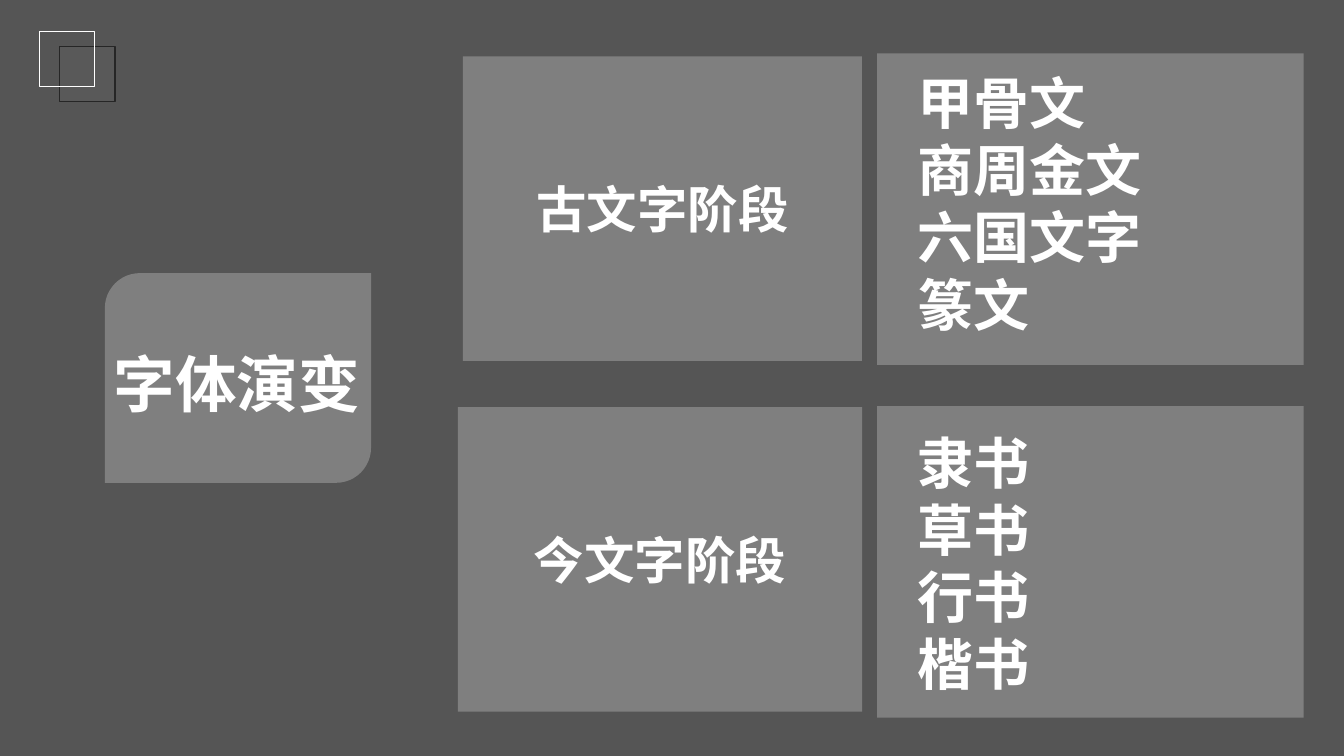
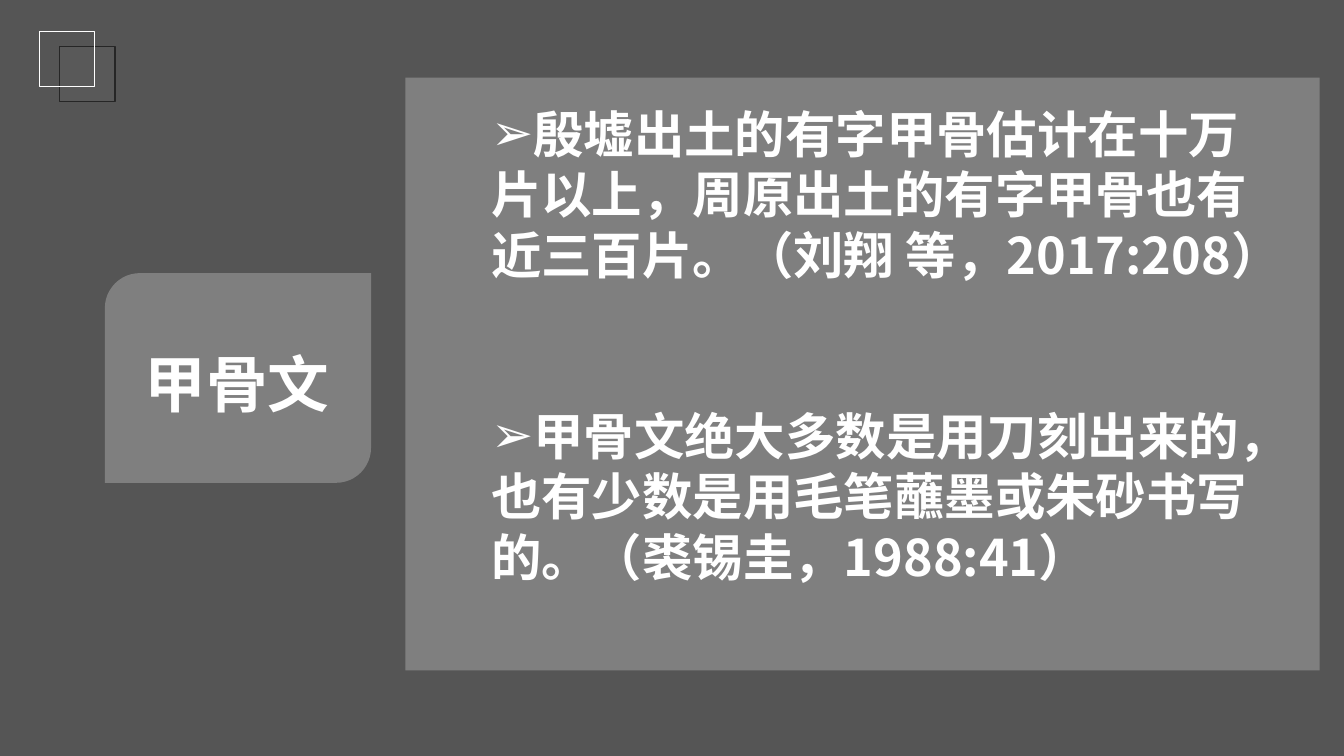
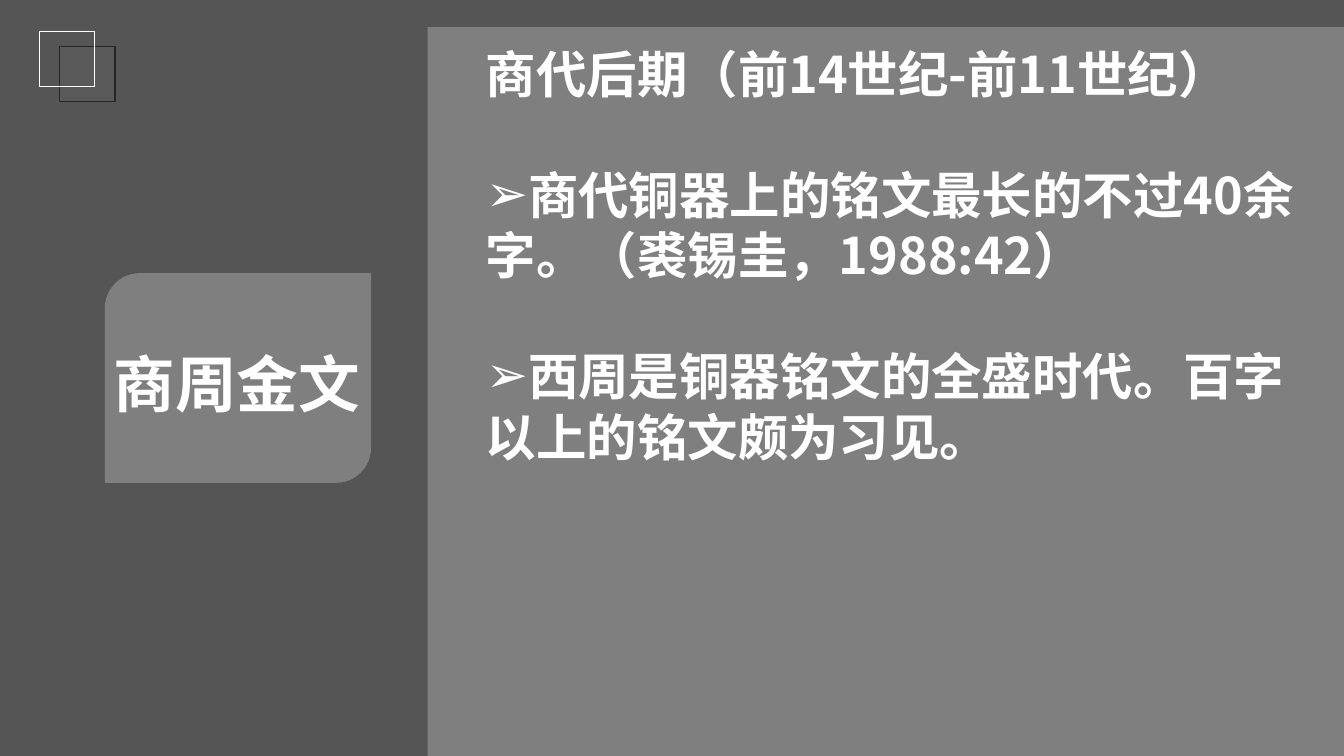
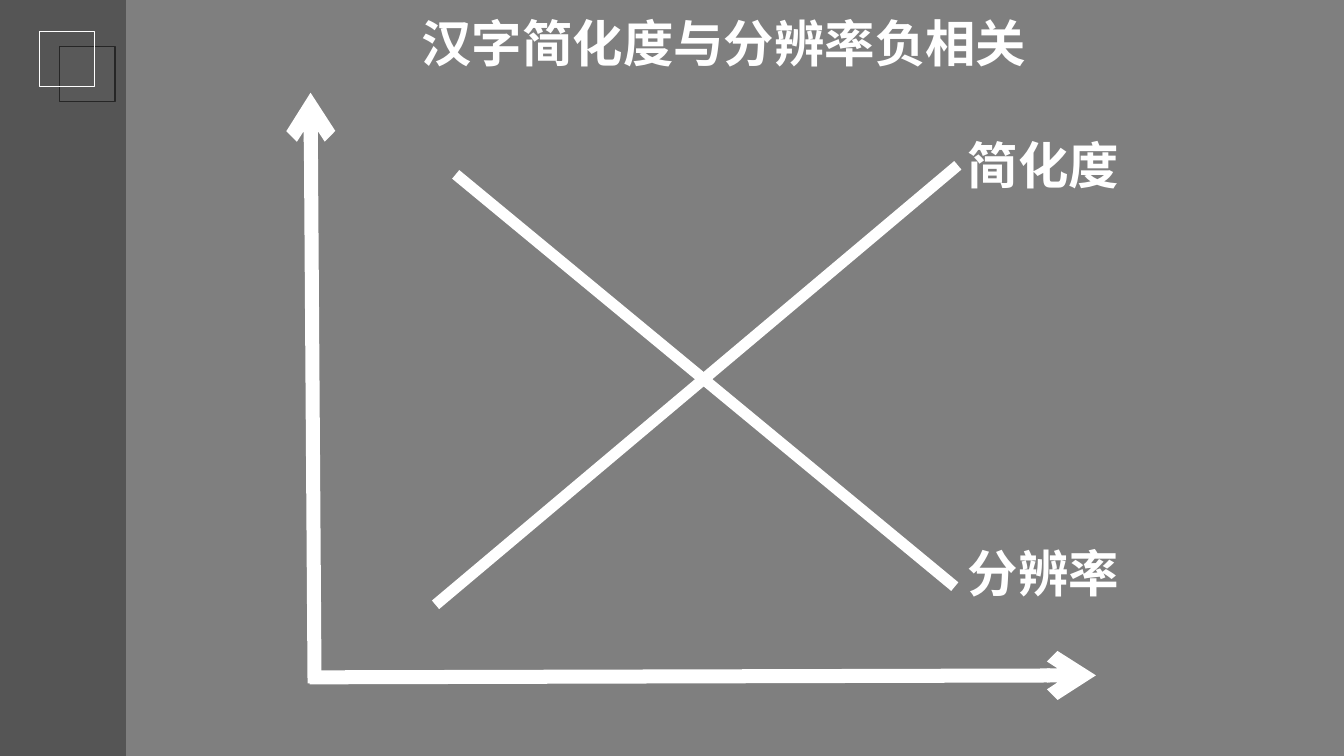
import lxml.etree
import pptx
import pptx.dml.color
import pptx.enum.shapes
import pptx.enum.text
import pptx.oxml.ns
import pptx.util
from dataclasses import dataclass

Inches = pptx.util.Inches
Pt = pptx.util.Pt
qn = pptx.oxml.ns.qn
RECTANGLE = pptx.enum.shapes.MSO_SHAPE.RECTANGLE
ROUNDED = pptx.enum.shapes.MSO_SHAPE.ROUND_2_DIAG_RECTANGLE
ALIGN = pptx.enum.text.PP_ALIGN
ANCHOR = pptx.enum.text.MSO_ANCHOR


@dataclass(frozen=True)
class Theme:
    white: str = "FFFFFF"
    shade: str = "0D0D0D"
    square_fill: str = "595959"
    square_line: str = "262626"
    shade_opacity: int = 70
    panel_opacity: int = 25
    font: str = "Noto Sans CJK SC"
    chart_title_font: str = "Arial"
    title_size: int = 44
    list_size: int = 40
    text_size: int = 36
    gap: int = 43
    side_inset: float = 0.1
    series_width: int = 8
    axis_width: int = 10


THEME = Theme()
WIDTH, HEIGHT = 13.33, 7.5
TITLE_BOX = (1.04, 3.38, 2.62, 0.48)
TITLE_PANEL = (1.04, 2.71, 2.64, 2.08)
BULLET = "➢"

STAGES = {
    "title": "字体演变",
    "rows": [
        {"stage": "古文字阶段", "stage_box": (4.59, 0.56, 3.96, 3.02),
         "list_panel": (8.7, 0.53, 4.23, 3.09), "list_box": (9, 0.63, 3.66, 3.1),
         "scripts": ["甲骨文", "商周金文", "六国文字", "篆文"]},
        {"stage": "今文字阶段", "stage_box": (4.54, 4.04, 4.01, 3.02),
         "list_panel": (8.7, 4.03, 4.23, 3.09), "list_box": (9, 4.2, 3.72, 3.1),
         "scripts": ["隶书", "草书", "行书", "楷书"]},
    ],
}

TEXT_SLIDES = [
    {"title": "甲骨文", "panel": (4.02, 0.77, 9.07, 5.88), "box": (4.77, 0.97, 8.1, 5.33),
     "gap": 2 * THEME.gap,
     "paragraphs": [
         (BULLET, "殷墟出土的有字甲骨估计在十万片以上，周原出土的有字甲骨也有近三百片。（刘翔 等，2017:208）"),
         (BULLET, "甲骨文绝大多数是用刀刻出来的，也有少数是用毛笔蘸墨或朱砂书写的。（裘锡圭，1988:41）"),
     ]},
    {"title": "商周金文", "panel": (4.24, 0.27, 9.09, 7.23), "box": (4.72, 0.38, 8.38, 6.92),
     "gap": THEME.gap,
     "paragraphs": [
         (None, "商代后期（前14世纪-前11世纪）"),
         (BULLET, "商代铜器上的铭文最长的不过40余字。（裘锡圭，1988:42）"),
         (BULLET, "西周是铜器铭文的全盛时代。百字以上的铭文颇为习见。"),
     ]},
]

CORRELATION = {
    "title": "汉字简化度与分辨率负相关",
    "title_box": (4.08, 0.07, 6.8, 0.71),
    "panel": (1.25, 0, 12.08, 7.5),
    "labels": [("分辨率", (9.5, 5.33, 2.05, 0.71)), ("简化度", (9.5, 1.28, 2.05, 0.71))],
    "series": [((4.52, 1.73), (9.47, 5.82)), ((4.32, 6), (9.5, 1.64))],
    "axes": [((3.12, 6.78), (3.08, 0.92)), ((3.07, 6.72), (10.87, 6.7))],
}


def rgb(color):
    return pptx.dml.color.RGBColor.from_string(color)


def apply(target, values):
    for name, value in values.items():
        setattr(target, name, value)


def place(shape, box):
    apply(shape, dict(zip(("left", "top", "width", "height"), map(Inches, box))))


def add_block(slide, box, fill=None, opacity=100, line=None, kind=RECTANGLE):
    shape = slide.shapes.add_shape(kind, *map(Inches, box))
    shape.shadow.inherit = False
    if fill:
        shape.fill.solid()
        shape.fill.fore_color.rgb = rgb(fill)
        if opacity < 100:
            color = shape.element.spPr.find(".//" + qn("a:srgbClr"))
            lxml.etree.SubElement(color, qn("a:alpha"), val=str(opacity * 1000))
    else:
        shape.fill.background()
    if line:
        shape.line.color.rgb = rgb(line)
        shape.line.width = Pt(1)
    else:
        shape.line.fill.background()
    return shape


def add_panel(slide, box, kind=RECTANGLE):
    return add_block(slide, box, THEME.white, THEME.panel_opacity, kind=kind)


def write(shape, paragraphs, size, align=ALIGN.LEFT, anchor=ANCHOR.TOP,
          inset=THEME.side_inset, gap=0, font=THEME.font):
    frame = shape.text_frame
    apply(frame, {"auto_size": pptx.enum.text.MSO_AUTO_SIZE.NONE, "word_wrap": True,
                  "vertical_anchor": anchor,
                  "margin_left": Inches(inset), "margin_right": Inches(inset)})
    for index, (bullet, text) in enumerate(paragraphs):
        paragraph = frame.paragraphs[0] if index == 0 else frame.add_paragraph()
        apply(paragraph, {"alignment": align, "space_before": Pt(gap if index else 0)})
        run = paragraph.add_run()
        run.text = text
        apply(run.font, {"size": Pt(size), "bold": True, "name": font})
        run.font.color.rgb = rgb(THEME.white)
    for properties in shape.element.iter(qn("a:rPr")):
        lxml.etree.SubElement(properties, qn("a:ea"), typeface=THEME.font)
    for properties, (bullet, text) in zip(shape.element.iter(qn("a:pPr")), paragraphs):
        properties.attrib.update({"marL": "0", "indent": "0"})
        if bullet:
            lxml.etree.SubElement(properties, qn("a:buFont"), typeface="Arial")
            lxml.etree.SubElement(properties, qn("a:buChar"), char=bullet)
        else:
            lxml.etree.SubElement(properties, qn("a:buNone"))


def fill_placeholder(placeholder, box, paragraphs, size, **options):
    placeholder.element.getparent().append(placeholder.element)
    place(placeholder, box)
    write(placeholder, paragraphs, size, **options)


def add_line(slide, start, end, width, arrow=False):
    connector = slide.shapes.add_connector(
        pptx.enum.shapes.MSO_CONNECTOR.STRAIGHT, *map(Inches, start + end))
    connector.line.color.rgb = rgb(THEME.white)
    connector.line.width = Pt(width)
    properties = connector.element.spPr
    if arrow:
        lxml.etree.SubElement(properties.find(qn("a:ln")), qn("a:tailEnd"), type="arrow")
    lxml.etree.SubElement(properties, qn("a:effectLst"))


def add_slide(presentation, layout):
    slide = presentation.slides.add_slide(presentation.slide_layouts[layout])
    add_block(slide, (0.59, 0.46, 0.55, 0.55), THEME.square_fill, line=THEME.square_line)
    add_block(slide, (0.39, 0.31, 0.55, 0.55), line=THEME.white)
    return slide


def add_side_title(slide, title):
    add_panel(slide, TITLE_PANEL, ROUNDED)
    fill_placeholder(slide.shapes.title, TITLE_BOX, [(None, title)], THEME.title_size,
                     align=ALIGN.CENTER, inset=0)


def shade_master(presentation, slide):
    shade = add_block(slide, (0, 0, WIDTH, HEIGHT), THEME.shade, THEME.shade_opacity)
    presentation.slide_master.element.cSld.spTree.insert(2, shade.element)


def build_stages(presentation):
    slide = add_slide(presentation, 3)
    shade_master(presentation, slide)
    lists = [slide.placeholders[1], slide.placeholders[2]]
    add_side_title(slide, STAGES["title"])
    for row, placeholder in zip(STAGES["rows"], lists):
        stage = add_panel(slide, row["stage_box"])
        write(stage, [(None, row["stage"])], THEME.text_size,
              align=ALIGN.CENTER, anchor=ANCHOR.MIDDLE)
        add_panel(slide, row["list_panel"])
        fill_placeholder(placeholder, row["list_box"],
                         [(None, name) for name in row["scripts"]], THEME.list_size)


def build_text(presentation, content):
    slide = add_slide(presentation, 1)
    add_side_title(slide, content["title"])
    add_panel(slide, content["panel"])
    fill_placeholder(slide.placeholders[1], content["box"], content["paragraphs"],
                     THEME.text_size, gap=content["gap"])


def build_correlation(presentation):
    slide = add_slide(presentation, 5)
    add_panel(slide, CORRELATION["panel"])
    fill_placeholder(slide.shapes.title, CORRELATION["title_box"],
                     [(None, CORRELATION["title"])], THEME.text_size,
                     font=THEME.chart_title_font)
    for start, end in CORRELATION["series"]:
        add_line(slide, start, end, THEME.series_width)
    for start, end in CORRELATION["axes"]:
        add_line(slide, start, end, THEME.axis_width, arrow=True)
    for text, box in CORRELATION["labels"]:
        label = slide.shapes.add_textbox(*map(Inches, box))
        write(label, [(None, text)], THEME.text_size)


def main():
    presentation = pptx.Presentation()
    apply(presentation, {"slide_width": Inches(WIDTH), "slide_height": Inches(HEIGHT)})
    build_stages(presentation)
    for content in TEXT_SLIDES:
        build_text(presentation, content)
    build_correlation(presentation)
    presentation.save("out.pptx")


if __name__ == "__main__":
    main()
